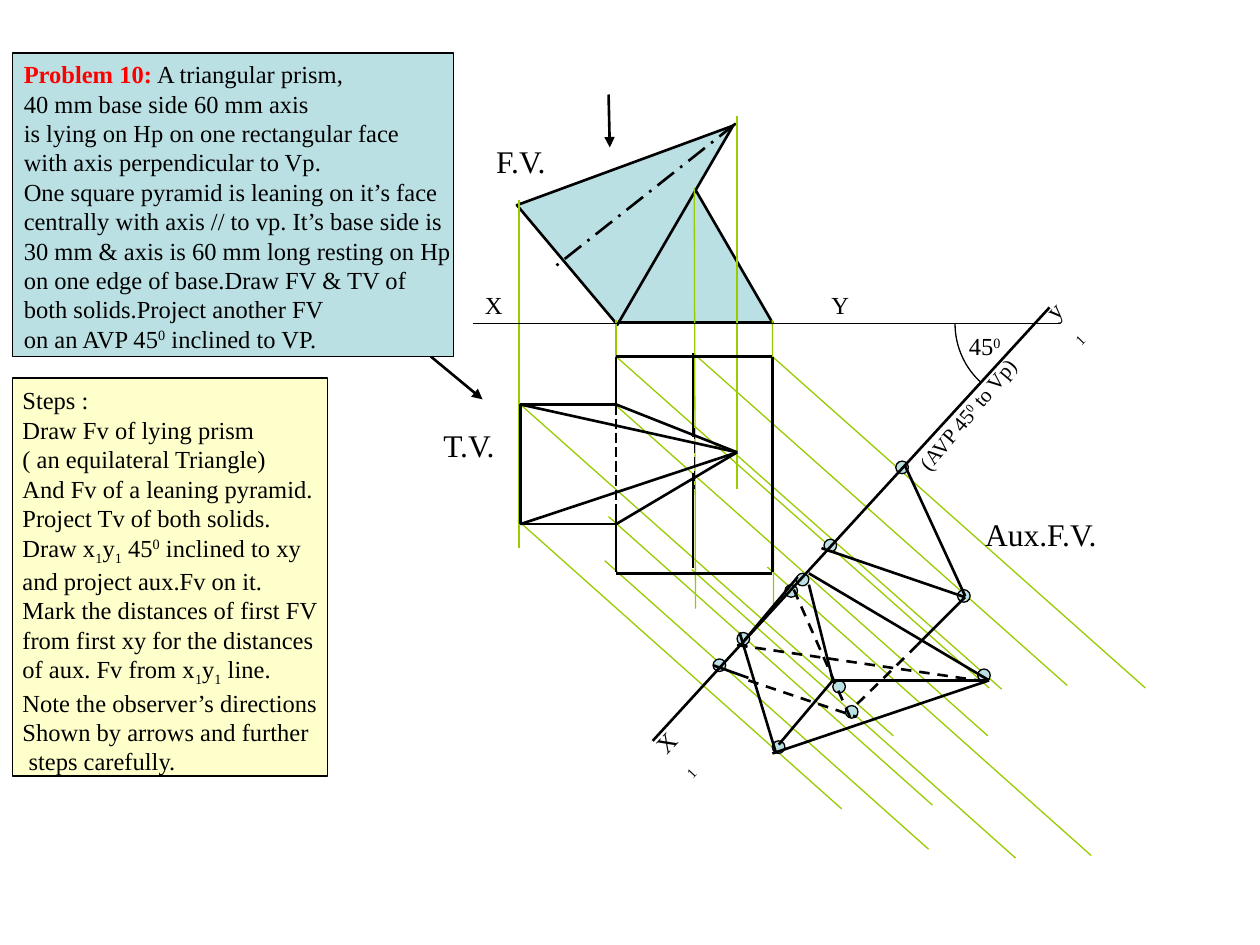
from dataclasses import dataclass

import lxml.etree
import pptx
import pptx.dml.color
import pptx.enum.dml
import pptx.enum.shapes
import pptx.enum.text
import pptx.oxml.ns
import pptx.util

Color = pptx.dml.color.RGBColor
Dash = pptx.enum.dml.MSO_LINE
Shape = pptx.enum.shapes.MSO_SHAPE


@dataclass(frozen=True)
class Theme:
    ink: Color = Color(0x00, 0x00, 0x00)
    solid: Color = Color(0xBB, 0xE0, 0xE3)
    steps: Color = Color(0xFF, 0xFF, 0xCC)
    projector: Color = Color(0x99, 0xCC, 0x00)
    heading: Color = Color(0xFF, 0x00, 0x00)
    font: str = "Times New Roman"
    title_size: int = 18
    body_size: int = 14
    small_size: int = 12
    thick: float = 1.5
    thin: float = 0.75


THEME = Theme()
CM_PER_UNIT = 2.54
BASELINES = {"^": "30000", "_": "-25000"}

PROBLEM = """ A triangular prism,
40 mm base side 60 mm axis
is lying on Hp on one rectangular face
with axis perpendicular to Vp.
One square pyramid is leaning on it’s face
centrally with axis // to vp. It’s base side is
30 mm & axis is 60 mm long resting on Hp
on one edge of base.Draw FV & TV of
both solids.Project another FV
on an AVP 45^0 inclined to VP."""

STEPS = """Steps :
Draw Fv of lying prism
( an equilateral Triangle)
And Fv of a leaning pyramid.
Project Tv of both solids.
Draw x_1y_1 45^0 inclined to xy
and project aux.Fv on it.
Mark the distances of first FV
from first xy for the distances
of aux. Fv from x_1y_1 line.
Note the observer’s directions
Shown by arrows and further
 steps carefully."""

VERTICAL_PROJECTORS = [
    (4.12, 1.59, 4.12, 4.35), (4.89, 2.54, 4.89, 3.21), (5.85, 0.92, 5.85, 3.88),
    (6.13, 2.54, 6.14, 4.83), (5.51, 1.49, 5.52, 4.83),
]
SLANTED_PROJECTORS = {
    (2.57, 2.29): [(4.11, 4.13), (4.83, 4.1), (4.8, 4.45), (5.49, 4.52), (6.09, 4.5)],
    (2.96, 2.63): [(4.13, 3.21), (4.88, 3.21), (5.51, 2.81), (6.13, 2.83), (4.89, 2.83)],
    (2.15, 1.9): [(5.8, 3.57)],
}
TOP_APEX = (5.85, 3.59)
TOP_BASE = [(4.89, 3.21), (4.13, 3.21), (4.13, 4.16), (4.89, 4.16)]
TOP_PRISM = [
    (4.89, 2.83, 6.13, 2.83), (4.89, 4.55, 6.13, 4.55), (6.13, 2.83, 6.13, 4.54),
    (4.89, 2.83, 4.89, 3.21), (5.5, 2.8, 5.5, 3.47), (5.5, 3.75, 5.5, 4.51),
]
TOP_HIDDEN = [(4.89, 3.21, 4.89, 4.16), (5.51, 3.4, 5.51, 3.88)]
AUXILIARY_VISIBLE = [
    (6.61, 5.4, 7.85, 5.4), (6.42, 4.64, 6.61, 5.4), (6.61, 5.4, 6.18, 5.91),
    (6.52, 4.35, 7.66, 4.74), (7.18, 3.69, 7.66, 4.73), (7.66, 4.74, 7.28, 5.12),
    (5.66, 5.28, 5.94, 5.38), (5.87, 5.02, 6.16, 5.98), (6.13, 5.98, 7.85, 5.4),
    (6.42, 4.55, 7.85, 5.4), (6.33, 4.58, 5.91, 5.08),
]
AUXILIARY_HIDDEN = [
    (5.85, 5.12, 7.76, 5.4), (6.3, 4.68, 6.75, 5.7),
    (5.94, 5.4, 6.8, 5.69), (7.28, 5.12, 6.8, 5.59),
]
AUXILIARY_POINTS = [
    (5.85, 5.02), (6.32, 4.55), (6.13, 5.88), (6.61, 5.4), (7.76, 5.31), (7.11, 3.66),
    (6.54, 4.28), (6.23, 4.64), (5.66, 5.23), (6.71, 5.6), (7.6, 4.68),
]
ARROWS = [(4.83, 0.75, 4.84, 1.17), (3.42, 2.83, 3.83, 3.17)]


def lengths(*values):
    return [pptx.util.Cm(value * CM_PER_UNIT) for value in values]


def apply(target, formats):
    for name, value in formats.items():
        setattr(target, name, value)


def add_line(slide, ends, width=THEME.thick, color=THEME.ink, dash=None, arrow=False):
    kind = pptx.enum.shapes.MSO_CONNECTOR.STRAIGHT
    connector = slide.shapes.add_connector(kind, *lengths(*ends))
    apply(connector.line, {"width": pptx.util.Pt(width), "dash_style": dash})
    connector.line.color.rgb = color
    properties = connector._element.spPr
    if arrow:
        outline = connector.line._get_or_add_ln()
        lxml.etree.SubElement(outline, pptx.oxml.ns.qn("a:tailEnd"), type="triangle")
    lxml.etree.SubElement(properties, pptx.oxml.ns.qn("a:effectLst"))


def add_lines(slide, all_ends, **formats):
    for ends in all_ends:
        add_line(slide, ends, **formats)


def add_figure(slide, kind, box, fill=THEME.solid, width=THEME.thin, rotation=0):
    shape = slide.shapes.add_shape(kind, *lengths(*box))
    shape.shadow.inherit = False
    shape.rotation = rotation
    if fill is None:
        shape.fill.background()
    else:
        shape.fill.solid()
        shape.fill.fore_color.rgb = fill
    shape.line.width = pptx.util.Pt(width)
    shape.line.color.rgb = THEME.ink
    return shape


def add_run(paragraph, text, size, color=THEME.ink, bold=False, baseline=None):
    run = paragraph.add_run()
    run.text = text
    apply(run.font, {"name": THEME.font, "size": pptx.util.Pt(size), "bold": bold})
    run.font.color.rgb = color
    if baseline:
        run.font._element.set("baseline", baseline)


def add_marked_runs(paragraph, text, size):
    start = 0
    for index, character in enumerate(text):
        if character in BASELINES:
            add_run(paragraph, text[start:index], size)
            add_run(paragraph, text[index + 1], size, baseline=BASELINES[character])
            start = index + 2
    if text[start:]:
        add_run(paragraph, text[start:], size)


def add_text(slide, box, text, size=THEME.body_size, rotation=0, wrap=False, heading=""):
    shape = slide.shapes.add_textbox(*lengths(*box))
    shape.rotation = rotation
    frame = shape.text_frame
    apply(frame, {"word_wrap": wrap,
                  "auto_size": pptx.enum.text.MSO_AUTO_SIZE.SHAPE_TO_FIT_TEXT})
    for index, line in enumerate(text.split("\n")):
        paragraph = frame.add_paragraph() if index else frame.paragraphs[0]
        if heading and not index:
            add_run(paragraph, heading, size, THEME.heading, True)
        add_marked_runs(paragraph, line, size)


def add_front_view(slide):
    add_figure(slide, Shape.ISOSCELES_TRIANGLE, (4.89, 1.49, 1.24, 1.07), width=THEME.thick)
    add_figure(slide, Shape.ISOSCELES_TRIANGLE, (4.54, 0.69, 1.24, 1.72),
               width=THEME.thick, rotation=50)
    add_line(slide, (5.84, 0.98, 4.4, 2.12), dash=Dash.LONG_DASH_DOT)


def add_projectors(slide):
    add_lines(slide, VERTICAL_PROJECTORS, width=THEME.thin, color=THEME.projector)
    for (run, drop), starts in SLANTED_PROJECTORS.items():
        add_lines(slide, [(x, y, x + run, y + drop) for x, y in starts],
                  width=THEME.thin, color=THEME.projector)


def add_top_view(slide):
    add_lines(slide, [TOP_APEX + corner for corner in TOP_BASE])
    add_lines(slide, [a + b for a, b in zip(TOP_BASE, TOP_BASE[1:])])
    add_lines(slide, TOP_PRISM)
    add_line(slide, (4.89, 4.07, 4.89, 4.54), width=THEME.thin)
    add_lines(slide, TOP_HIDDEN, width=THEME.thin, dash=Dash.LONG_DASH)


def add_auxiliary_view(slide):
    for x, y in AUXILIARY_POINTS:
        add_figure(slide, Shape.OVAL, (x, y, 0.1, 0.1))
    add_lines(slide, AUXILIARY_VISIBLE)
    add_lines(slide, AUXILIARY_HIDDEN, dash=Dash.DASH)


def add_reference_lines(slide):
    add_line(slide, (3.75, 2.57, 8.41, 2.57), width=THEME.thin)
    add_line(slide, (8.33, 2.44, 5.18, 5.88))
    arc = add_figure(slide, Shape.ARC, (7.58, 1.94, 1.26, 1.26), fill=None)
    for index, degrees in enumerate((132.5, 180)):
        arc.adjustments[index] = degrees * 0.6


def add_labels(slide):
    add_text(slide, (7.59, 2.58, 0.45, 0.34), "45^0")
    add_text(slide, (6.96, 2.98, 1.7, 0.3), "(AVP 45^0 to Vp)", THEME.small_size, 310, True)
    add_text(slide, (8.22, 2.27, 0.35, 0.37), "y_1", rotation=315)
    add_text(slide, (5.12, 5.7, 0.39, 0.37), "X_1", rotation=313, wrap=True)
    add_text(slide, (3.75, 2.25, 0.34, 0.33), "X")
    add_text(slide, (6.5, 2.25, 0.34, 0.33), "Y")
    add_text(slide, (3.84, 1.08, 0.64, 0.4), "F.V.", THEME.title_size)
    add_text(slide, (3.42, 3.33, 0.66, 0.4), "T.V.", THEME.title_size)
    add_text(slide, (7.72, 4.04, 1.14, 0.4), "Aux.F.V.", THEME.title_size)


def main():
    presentation = pptx.Presentation()
    presentation.slide_width, presentation.slide_height = lengths(10, 7.5)
    slide = presentation.slides.add_slide(presentation.slide_layouts[6])
    for add_part in (add_front_view, add_projectors, add_top_view,
                     add_auxiliary_view, add_reference_lines, add_labels):
        add_part(slide)
    add_lines(slide, ARROWS, arrow=True)
    add_figure(slide, Shape.RECTANGLE, (0.1, 0.42, 3.5, 2.41))
    add_text(slide, (0.09, 0.42, 3.65, 2.43), PROBLEM, heading="Problem 10:")
    add_figure(slide, Shape.RECTANGLE, (0.1, 3, 2.5, 3.16), fill=THEME.steps)
    add_text(slide, (0.08, 3.01, 2.6, 3.19), STEPS)
    presentation.save("out.pptx")


if __name__ == "__main__":
    main()
